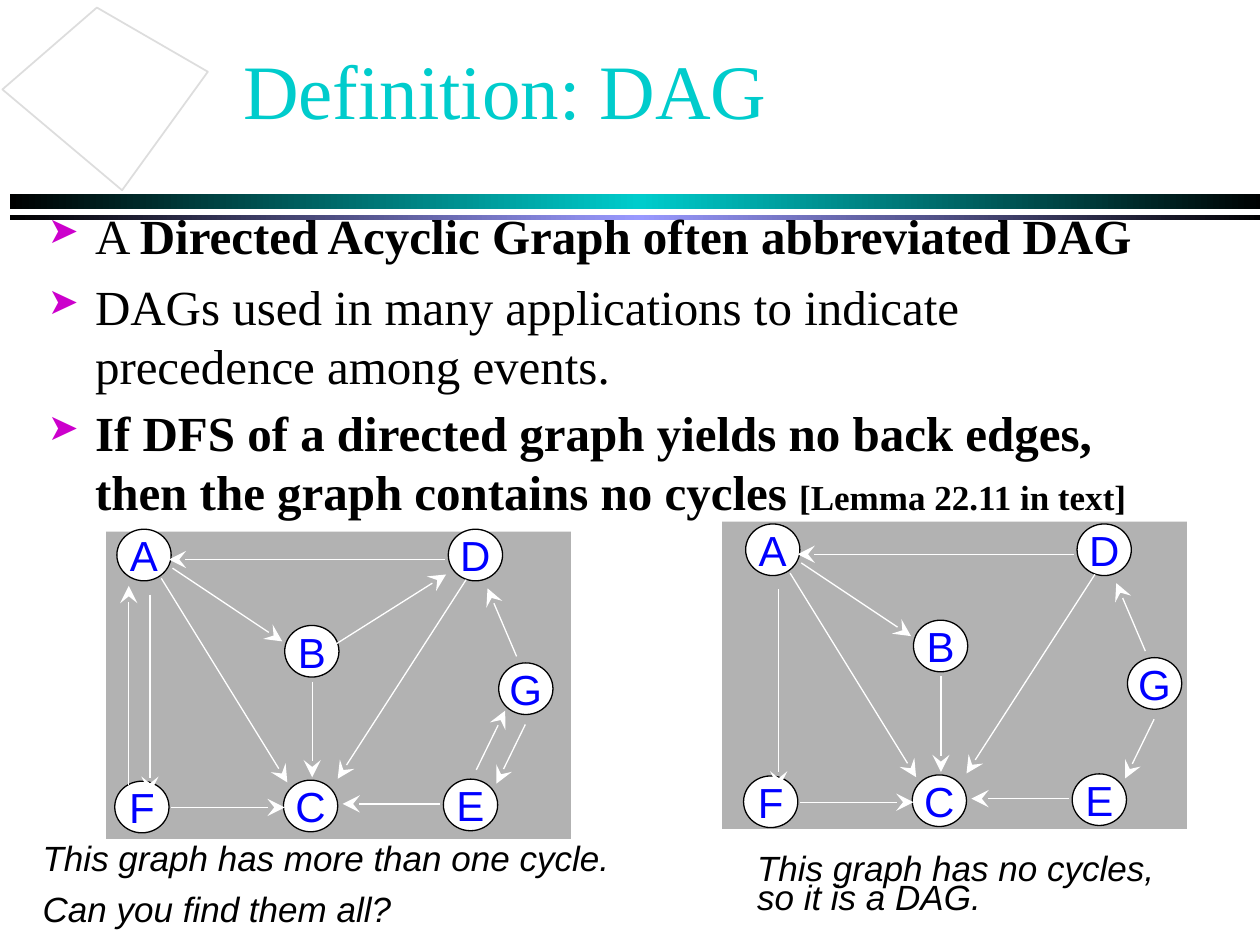
from copy import deepcopy

from lxml import etree
from pptx import Presentation
from pptx.dml.color import RGBColor
from pptx.enum.shapes import MSO_CONNECTOR, MSO_SHAPE
from pptx.enum.text import MSO_ANCHOR, PP_ALIGN
from pptx.oxml.ns import qn
from pptx.util import Pt

RECTANGLE, OVAL = MSO_SHAPE.RECTANGLE, MSO_SHAPE.OVAL
STRAIGHT = MSO_CONNECTOR.STRAIGHT
MIDDLE, CENTER = MSO_ANCHOR.MIDDLE, PP_ALIGN.CENTER
SERIF, SANS = "Times New Roman", "Arial"

color = RGBColor.from_string


def add_run(paragraph, text, size, font_name, hex_color, bold=False, italic=False):
    run = paragraph.add_run()
    run.text = text
    run.font.size = Pt(size)
    run.font.name = font_name
    run.font.color.rgb = color(hex_color)
    run.font.bold = bold
    run.font.italic = italic
    return run


def add_filled(preset, left, top, width, height, hex_color):
    """Add a preset shape with a plain fill, no outline and no shadow."""
    shape = slide.shapes.add_shape(preset, Pt(left), Pt(top), Pt(width), Pt(height))
    shape.shadow.inherit = False
    shape.fill.solid()
    shape.fill.fore_color.rgb = color(hex_color)
    shape.line.fill.background()
    return shape


presentation = Presentation()
presentation.slide_width, presentation.slide_height = Pt(720), Pt(540)
slide = presentation.slides.add_slide(presentation.slide_layouts[6])

# Gradient rules under the title
for top, height, middle_color in [(110.9, 8.8, "00CCCC"), (123.1, 2.9, "9999FF")]:
    rule = add_filled(RECTANGLE, 5.8, top, 719.2, height, "000000")
    rule.fill.gradient()
    rule.fill.gradient_angle = 0
    first_stop = rule._element.spPr.find(".//" + qn("a:gs"))
    first_stop.addnext(deepcopy(first_stop))
    stops = zip(rule.fill.gradient_stops, [0, 0.5, 1], ["000000", middle_color, "000000"])
    for stop, position, stop_color in stops:
        stop.position = position
        stop.color.rgb = color(stop_color)

# Tilted corner outline
builder = slide.shapes.build_freeform(Pt(69.8), Pt(108.7))
builder.add_line_segments([(Pt(x), Pt(y)) for x, y in [(1.4, 51.1), (55.4, 4.3), (118.8, 41)]])
corner = builder.convert_to_shape()
corner.shadow.inherit = False
corner.fill.solid()
corner.fill.fore_color.rgb = color("FFFFFF")
corner.line.color.rgb = color("DDDDDD")
corner.line.width = Pt(1)

# Grey panels behind the graphs
for left, top in [(412.6, 298), (60.6, 303.8)]:
    add_filled(RECTANGLE, left, top, 265.6, 175.6, "B2B2B2")

# Title with a text shadow
title = slide.shapes.add_textbox(Pt(131.8), Pt(5.8), Pt(612), Pt(90))
title.text_frame.word_wrap = True
title.text_frame.vertical_anchor = MIDDLE
run = add_run(title.text_frame.paragraphs[0], "Definition: DAG", 44, SERIF, "00CCCC")
effects = etree.Element(qn("a:effectLst"))
shadow = etree.SubElement(effects, qn("a:outerShdw"), dist="17961", dir="2700000")
etree.SubElement(shadow, qn("a:srgbClr"), val="000000")
run.font._element.find(qn("a:solidFill")).addnext(effects)

# Bulleted definition: space before, then (text, size, bold) runs
points = [
    (0, [("A ", 28, False), ("Directed Acyclic Graph often abbreviated DAG", 28, True)]),
    (7, [("DAGs used in many applications to indicate precedence among events.", 28, False)]),
    (5, [("If DFS of a directed graph yields no back edges, "
          "then the graph contains no cycles ", 28, True),
         ("[Lemma 22.11 in text]", 20, True)]),
]
body = slide.shapes.add_textbox(Pt(20.2), Pt(113.8), Pt(661.7), Pt(324))
body.text_frame.word_wrap = True
for index, (space, runs) in enumerate(points):
    frame = body.text_frame
    paragraph = frame.add_paragraph() if index else frame.paragraphs[0]
    paragraph.space_before = Pt(space)
    properties = paragraph._p.get_or_add_pPr()
    properties.set("marL", str(Pt(27)))
    properties.set("indent", str(-Pt(27)))
    bullet_color = etree.SubElement(properties, qn("a:buClr"))
    etree.SubElement(bullet_color, qn("a:srgbClr"), val="CC00CC")
    etree.SubElement(properties, qn("a:buSzPct"), val="75000")
    etree.SubElement(properties, qn("a:buChar"), char="➤")
    for text, size, bold in runs:
        add_run(paragraph, text, size, SERIF, "000000", bold=bold)

# Graph data: node corners and edge ends, placed for the left graph
nodes = {
    "A": (66.8, 302.4), "B": (162.7, 357.4), "C": (162, 445.8), "D": (256.2, 302.4),
    "E": (253.4, 445.2), "F": (65.6, 446.4), "G": (285, 378.8),
}
edges = {
    "FA": (73.6, 448.6, 73.6, 334.8), "AF": (85.7, 339.8, 85.7, 453.6),
    "DA": (254.2, 319.7, 96.5, 319.7), "DC": (266.4, 331.2, 193, 445),
    "FC": (97.9, 461.4, 162.7, 461.4), "EC": (251.3, 459.4, 195.8, 459.4),
    "BD": (192.2, 367.9, 254.9, 328.3), "AC": (92.2, 330.5, 164.2, 447.1),
    "AB": (98.6, 324.7, 161.3, 366.5), "BC": (178.4, 389.5, 178.4, 444.2),
    "GE": (300.2, 414, 283.7, 447.8), "EG": (272.2, 439.9, 288.7, 406.1),
    "GD": (295.2, 375.1, 278.6, 336.2),
}
cycle_edges = {"FA", "BD", "EG"}

# The right graph is the left one shifted, without the edges that close cycles
for shift_x, shift_y, left_out in [(0, 0, set()), (359.3, -3, cycle_edges)]:
    for name, (left, top) in nodes.items():
        node = add_filled(OVAL, left + shift_x, top + shift_y, 31, 29.5, "FFFFFF")
        node.line.color.rgb = color("000000")
        node.line.width = Pt(0.75)
        node.text_frame.word_wrap = False
        node.text_frame.vertical_anchor = MIDDLE
        paragraph = node.text_frame.paragraphs[0]
        paragraph.alignment = CENTER
        add_run(paragraph, name, 24, SANS, "0000FF")
    for name, (x1, y1, x2, y2) in edges.items():
        if name in left_out:
            continue
        edge = slide.shapes.add_connector(
            STRAIGHT, Pt(x1 + shift_x), Pt(y1 + shift_y), Pt(x2 + shift_x), Pt(y2 + shift_y))
        edge.line.color.rgb = color("FFFFFF")
        edge.line.width = Pt(0.75)
        etree.SubElement(edge.line._get_or_add_ln(), qn("a:tailEnd"),
                         type="stealth", w="lg", len="lg")
        etree.SubElement(edge._element.spPr, qn("a:effectLst"))

# Captions
captions = [
    (17.3, 481, 338.4, 53.3, False,
     ["This graph has more than one cycle.", "Can you find them all?"]),
    (425.5, 486.7, 262.8, 41, True, ["This graph has no cycles, so it is a DAG."]),
]
for left, top, width, height, wrap, lines in captions:
    caption = slide.shapes.add_textbox(Pt(left), Pt(top), Pt(width), Pt(height))
    frame = caption.text_frame
    frame.word_wrap = wrap
    for index, line in enumerate(lines):
        paragraph = frame.add_paragraph() if index else frame.paragraphs[0]
        paragraph.line_spacing = 0.7
        paragraph.space_before = Pt(12.5 if index else 0)
        add_run(paragraph, line, 20, SANS, "000000", italic=True)

presentation.save("out.pptx")
